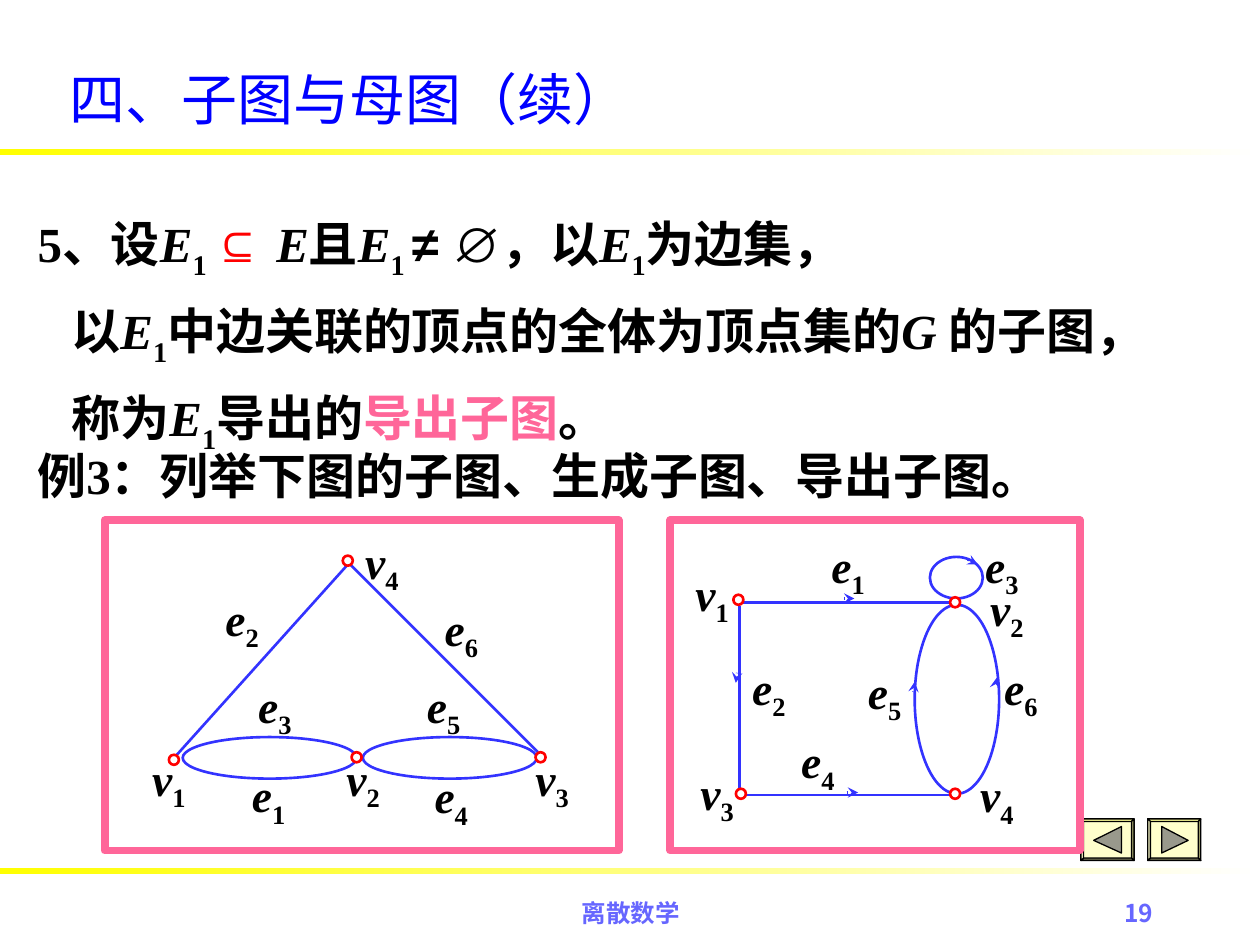
from lxml import etree
from pptx import Presentation, util as u
from pptx.dml.color import RGBColor
from pptx.enum import shapes, text
from pptx.oxml.ns import qn

C = {"blue": "0000FF", "edge": "3333FF", "red": "FF0000", "pink": "FF6699",
     "yellow": "FFFF00", "pale": "FFFF99", "white": "FFFFFF", "black": "000000",
     "foot": "6666FF", "light": "FFFFCC", "shade": "999966", "dark": "66664D",
     "gray": "99998C"}
TNR, CJK, ARIAL = "Times New Roman", "Noto Sans CJK SC", "Arial"

prs = Presentation()
prs.slide_width, prs.slide_height = u.Inches(10), u.Inches(7.5)
slide = prs.slides.add_slide(prs.slide_layouts[6])


def paint(sp, fill=None, line=None, width=1.5):
    sp.shadow.inherit = False
    if fill:
        sp.fill.solid()
        sp.fill.fore_color.rgb = RGBColor.from_string(C[fill])
    else:
        sp.fill.background()
    if line:
        sp.line.color.rgb = RGBColor.from_string(C[line])
        sp.line.width = u.Pt(width)
    else:
        sp.line.fill.background()


def add_text(parent, box, paragraphs, size, color="black", bold=True,
             align=None, spacing=None):
    """Each run is (text, font[, style]); style: i = italic, s = subscript, or a colour."""
    tf = parent.add_textbox(*map(u.Inches, box)).text_frame
    tf.word_wrap = True
    for n, runs in enumerate(paragraphs):
        p = tf.paragraphs[0] if n == 0 else tf.add_paragraph()
        p.alignment, p.line_spacing = align, spacing
        for words, font, *style in runs:
            style = style[0] if style else ""
            r = p.add_run()
            r.text = words
            f = r.font
            f.name, f.size, f.bold, f.italic = font, u.Pt(size), bold, style == "i"
            f.color.rgb = RGBColor.from_string(C.get(style, C[color]))
            rPr = r._r.get_or_add_rPr()
            if style == "s":
                rPr.set("baseline", "-25000")
            if font == CJK:
                etree.SubElement(rPr, qn("a:ea")).set("typeface", CJK)
    return tf


# Yellow rules fading to the right
for y in (6.89, 1.18):
    sp = slide.shapes.add_shape(shapes.MSO_SHAPE.RECTANGLE, 0, u.Inches(y),
                                u.Inches(10), u.Inches(0.05))
    paint(sp)
    sp.fill.gradient()
    sp.fill.gradient_angle = 0
    for stop, name in zip(sp.fill.gradient_stops, ("yellow", "white")):
        stop.color.rgb = RGBColor.from_string(C[name])

# Title
tf = add_text(slide.shapes, (0.45, 0.46, 8.5, 0.64),
              [[("四、子图与母图（续）", TNR)]], 32, "blue", bold=False)
tf.vertical_anchor = text.MSO_ANCHOR.MIDDLE

# Bevelled navigation buttons
top, bottom, bevel = 6.5, 6.83, 0.02
for left, tip, base in ((9.11, 9.43, 9.22), (8.58, 8.68, 8.9)):
    right = left + 0.42
    outer = [(left, top), (right, top), (right, bottom), (left, bottom)]
    inner = [(left + bevel, top + bevel), (right - bevel, top + bevel),
             (right - bevel, bottom - bevel), (left + bevel, bottom - bevel)]
    faces = [(outer, "light")]
    for k, name in enumerate(("pale", "shade", "dark", "light")):
        m = (k + 1) % 4
        faces.append(([outer[k], outer[m], inner[m], inner[k]], name))
    faces.append(([(base, 6.56), (tip, 6.67), (base, 6.77)], "gray"))
    for points, name in faces:
        emu = [(u.Inches(x), u.Inches(y)) for x, y in points]
        fb = slide.shapes.build_freeform(*emu[0])
        fb.add_line_segments(emu[1:], close=True)
        paint(fb.convert_to_shape(), name, "black", 0.75)

# Definition and example
E1 = [("E", TNR, "i"), ("1", TNR, "s")]
E1_SPACED = [("E", TNR, "i"), ("1 ", TNR, "s")]
definition = [
    [("5", TNR), ("、设", CJK), *E1_SPACED, ("⊆ ", ARIAL, "red"), ("E", TNR, "i"),
     ("且", CJK), *E1_SPACED, ("≠ ∅", ARIAL), ("，以", CJK), *E1, ("为边集，", CJK)],
    [("以", CJK), *E1, ("中边关联的顶点的全体为顶点集的", CJK), ("G ", TNR, "i"),
     ("的子图，", CJK)],
    [("称为", CJK), *E1, ("导出的", CJK), ("导出子图", CJK, "pink"), ("。", CJK)],
]
tf = add_text(slide.shapes, (0.2, 1.49, 9.8, 2.17), definition, 28, spacing=1.3)
for p in tf.paragraphs[1:]:
    p._p.get_or_add_pPr().set("marL", str(u.Inches(0.27)))
add_text(slide.shapes, (0.2, 3.35, 9.8, 0.71),
         [[("例3：列举下图的子图、生成子图、导出子图。", TNR)]], 28, spacing=1.3)

# Graph panels: directed on the right, undirected on the left
graphs = [
    {"frame": (5.32, 4.13, 3.25, 2.62),
     "loops": [(7.38, 4.42, 0.42, 0.33), (7.26, 4.8, 0.67, 1.5)],
     "edges": [(5.87, 4.81, 5.87, 6.31), (7.53, 6.31, 5.86, 6.31),
               (7.54, 4.78, 5.87, 4.78)],
     "arrows": [(6.7, 4.75, 6.78, 4.75), (5.85, 5.34, 5.84, 5.42),
                (7.68, 4.44, 7.76, 4.48), (6.72, 6.29, 6.81, 6.29),
                (7.25, 5.49, 7.26, 5.41), (7.9, 5.44, 7.91, 5.38)],
     "nodes": [(5.82, 4.72), (7.54, 4.74), (5.84, 6.26), (7.54, 6.26)],
     "labels": {"v1": (5.42, 4.44), "v2": (7.76, 4.56), "v3": (5.46, 6.02),
                "v4": (7.68, 6.04), "e1": (6.5, 4.22), "e2": (5.87, 5.19),
                "e3": (7.72, 4.22), "e4": (6.26, 5.77), "e5": (6.79, 5.22),
                "e6": (7.87, 5.19)}},
    {"frame": (0.83, 4.13, 4.08, 2.62),
     "loops": [(1.45, 5.85, 1.38, 0.33), (2.88, 5.85, 1.38, 0.33)],
     "edges": [(2.77, 4.47, 1.35, 6.05), (4.27, 5.97, 2.77, 4.47)],
     "arrows": [],
     "nodes": [(1.34, 5.99), (2.79, 5.97), (4.25, 5.97), (2.72, 4.41)],
     "labels": {"v1": (1.11, 5.91), "v2": (2.65, 5.91), "v3": (4.15, 5.91),
                "v4": (2.8, 4.19), "e1": (1.9, 6.04), "e2": (1.69, 4.64),
                "e3": (1.95, 5.33), "e4": (3.35, 6.05), "e5": (3.29, 5.33),
                "e6": (3.43, 4.72)}},
]
for graph in graphs:
    group = slide.shapes.add_group_shape().shapes
    sp = group.add_shape(shapes.MSO_SHAPE.RECTANGLE, *map(u.Inches, graph["frame"]))
    paint(sp, "white", "pink", 4.5)
    for box in graph["loops"]:
        paint(group.add_shape(shapes.MSO_SHAPE.OVAL, *map(u.Inches, box)), line="edge")
    for ends in graph["edges"] + graph["arrows"]:
        cx = group.add_connector(shapes.MSO_CONNECTOR.STRAIGHT, *map(u.Inches, ends))
        cx.line.color.rgb = RGBColor.from_string(C["edge"])
        cx.line.width = u.Pt(1.5)
        if ends in graph["arrows"]:
            etree.SubElement(cx.line._get_or_add_ln(), qn("a:tailEnd")).set("type", "stealth")
        etree.SubElement(cx._element.spPr, qn("a:effectLst"))
    for x, y in graph["nodes"]:
        sp = group.add_shape(shapes.MSO_SHAPE.OVAL, *map(u.Inches, (x, y, 0.08, 0.08)))
        paint(sp, "white", "red")
    for (letter, index), (x, y) in graph["labels"].items():
        add_text(group, (x, y, 0.55, 0.6), [[(letter, TNR, "i"), (index, TNR, "s")]], 26)

# Footer
add_text(slide.shapes, (3.42, 7.08, 3.17, 0.5), [[("离散数学", TNR)]], 14, "foot",
         align=text.PP_ALIGN.CENTER)
add_text(slide.shapes, (7.17, 7.08, 2.08, 0.5), [[("19", CJK)]], 14, "foot",
         align=text.PP_ALIGN.RIGHT)

prs.save("out.pptx")
